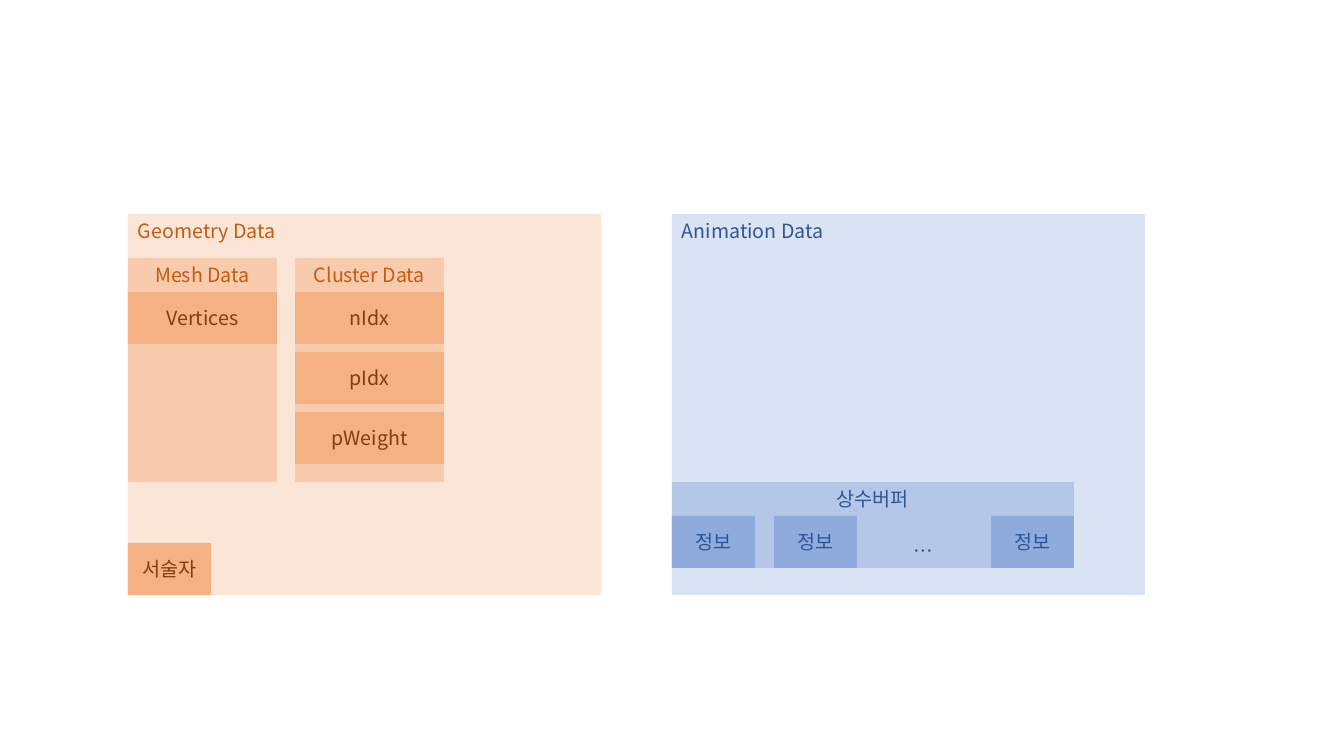
from lxml.etree import SubElement
from pptx import Presentation
from pptx.dml.color import RGBColor
from pptx.enum.shapes import MSO_SHAPE
from pptx.enum.text import MSO_ANCHOR, PP_ALIGN
from pptx.oxml.ns import qn
from pptx.util import Emu, Pt

# Content
GEOMETRY_TITLE = "Geometry Data"
GEOMETRY_COLUMNS = [
    ("Mesh Data", ["Vertices"]),
    ("Cluster Data", ["nIdx", "pIdx", "pWeight"]),
]
DESCRIPTOR = "서술자"
ANIMATION_TITLE = "Animation Data"
BUFFER_TITLE = "상수버퍼"
BUFFER_GAP = "…"
INFO = "정보"
INFO_OFFSETS = [0, 102, 319]

# Format
FONT = "Noto Sans CJK KR"
ORANGE_PALE = RGBColor(0xFB, 0xE5, 0xD6)
ORANGE_LIGHT = RGBColor(0xF8, 0xCB, 0xAD)
ORANGE = RGBColor(0xF4, 0xB1, 0x83)
ORANGE_DARK = RGBColor(0xC5, 0x5A, 0x11)
BROWN = RGBColor(0x84, 0x3C, 0x0B)
BLUE_PALE = RGBColor(0xDA, 0xE3, 0xF3)
BLUE_LIGHT = RGBColor(0xB4, 0xC7, 0xE7)
BLUE = RGBColor(0x8F, 0xAA, 0xDC)
BLUE_DARK = RGBColor(0x2F, 0x55, 0x97)

PANEL = dict(fill=ORANGE_PALE, color=ORANGE_DARK, align=PP_ALIGN.LEFT)
GROUP = dict(fill=ORANGE_LIGHT, color=ORANGE_DARK)
ITEM = dict(fill=ORANGE, color=BROWN, anchor=MSO_ANCHOR.MIDDLE)
BLUE_PANEL = dict(fill=BLUE_PALE, color=BLUE_DARK, align=PP_ALIGN.LEFT)
BLUE_GROUP = dict(fill=BLUE_LIGHT, color=BLUE_DARK)
BLUE_ITEM = dict(fill=BLUE, color=BLUE_DARK, anchor=MSO_ANCHOR.MIDDLE)

# Layout in px
SLIDE_WIDTH, SLIDE_HEIGHT = 1344, 756
PANEL_TOP, PANEL_WIDTH, PANEL_HEIGHT = 214, 473, 381
GEOMETRY_LEFT, ANIMATION_LEFT = 128, 672
COLUMN_TOP, COLUMN_WIDTH, COLUMN_HEIGHT, COLUMN_STEP = 258, 149, 224, 167
HEADER_HEIGHT, ITEM_HEIGHT, ITEM_STEP, SMALL_WIDTH = 34, 52, 60, 83
BUFFER_TOP, BUFFER_WIDTH = 482, 402
GAP_INDENT = 101


def px(length):
    return Emu(round(length * 914400 / 100.8))


def add_text(paragraph, text, color, align):
    paragraph.alignment = align
    run = paragraph.add_run()
    run.text = text
    for name, value in dict(name=FONT, size=Pt(14)).items():
        setattr(run.font, name, value)
    run.font.color.rgb = color
    # East Asian typeface for the Korean labels
    SubElement(run.font._element, qn("a:ea"), typeface=FONT)


def add_box(slide, text, left, top, width, height, fill, color,
            align=PP_ALIGN.CENTER, anchor=MSO_ANCHOR.TOP):
    shape = slide.shapes.add_shape(
        MSO_SHAPE.RECTANGLE, px(left), px(top), px(width), px(height))
    shape.shadow.inherit = False
    shape.fill.solid()
    shape.fill.fore_color.rgb = fill
    shape.line.fill.background()
    frame = shape.text_frame
    for name, value in dict(word_wrap=True, vertical_anchor=anchor).items():
        setattr(frame, name, value)
    add_text(frame.paragraphs[0], text, color, align)
    return shape


def add_geometry(slide):
    add_box(slide, GEOMETRY_TITLE, GEOMETRY_LEFT, PANEL_TOP,
            PANEL_WIDTH, PANEL_HEIGHT, **PANEL)
    for column, (title, items) in enumerate(GEOMETRY_COLUMNS):
        left = GEOMETRY_LEFT + column * COLUMN_STEP
        add_box(slide, title, left, COLUMN_TOP,
                COLUMN_WIDTH, COLUMN_HEIGHT, **GROUP)
        for row, item in enumerate(items):
            top = COLUMN_TOP + HEADER_HEIGHT + row * ITEM_STEP
            add_box(slide, item, left, top, COLUMN_WIDTH, ITEM_HEIGHT, **ITEM)
    # Descriptor sits in the bottom left corner
    add_box(slide, DESCRIPTOR, GEOMETRY_LEFT,
            PANEL_TOP + PANEL_HEIGHT - ITEM_HEIGHT,
            SMALL_WIDTH, ITEM_HEIGHT, **ITEM)


def add_animation(slide):
    add_box(slide, ANIMATION_TITLE, ANIMATION_LEFT, PANEL_TOP,
            PANEL_WIDTH, PANEL_HEIGHT, **BLUE_PANEL)
    buffer = add_box(slide, BUFFER_TITLE, ANIMATION_LEFT, BUFFER_TOP,
                     BUFFER_WIDTH, HEADER_HEIGHT + ITEM_HEIGHT, **BLUE_GROUP)
    # Ellipsis between the second and the last info box
    paragraph = buffer.text_frame.add_paragraph()
    add_text(paragraph, BUFFER_GAP, BLUE_DARK, PP_ALIGN.CENTER)
    paragraph.space_before = Pt(20)
    paragraph._p.get_or_add_pPr().set("marL", str(px(GAP_INDENT)))
    for offset in INFO_OFFSETS:
        add_box(slide, INFO, ANIMATION_LEFT + offset,
                BUFFER_TOP + HEADER_HEIGHT, SMALL_WIDTH, ITEM_HEIGHT,
                **BLUE_ITEM)


def main():
    presentation = Presentation()
    presentation.slide_width = px(SLIDE_WIDTH)
    presentation.slide_height = px(SLIDE_HEIGHT)
    slide = presentation.slides.add_slide(presentation.slide_layouts[6])
    add_geometry(slide)
    add_animation(slide)
    presentation.save("out.pptx")


if __name__ == "__main__":
    main()
